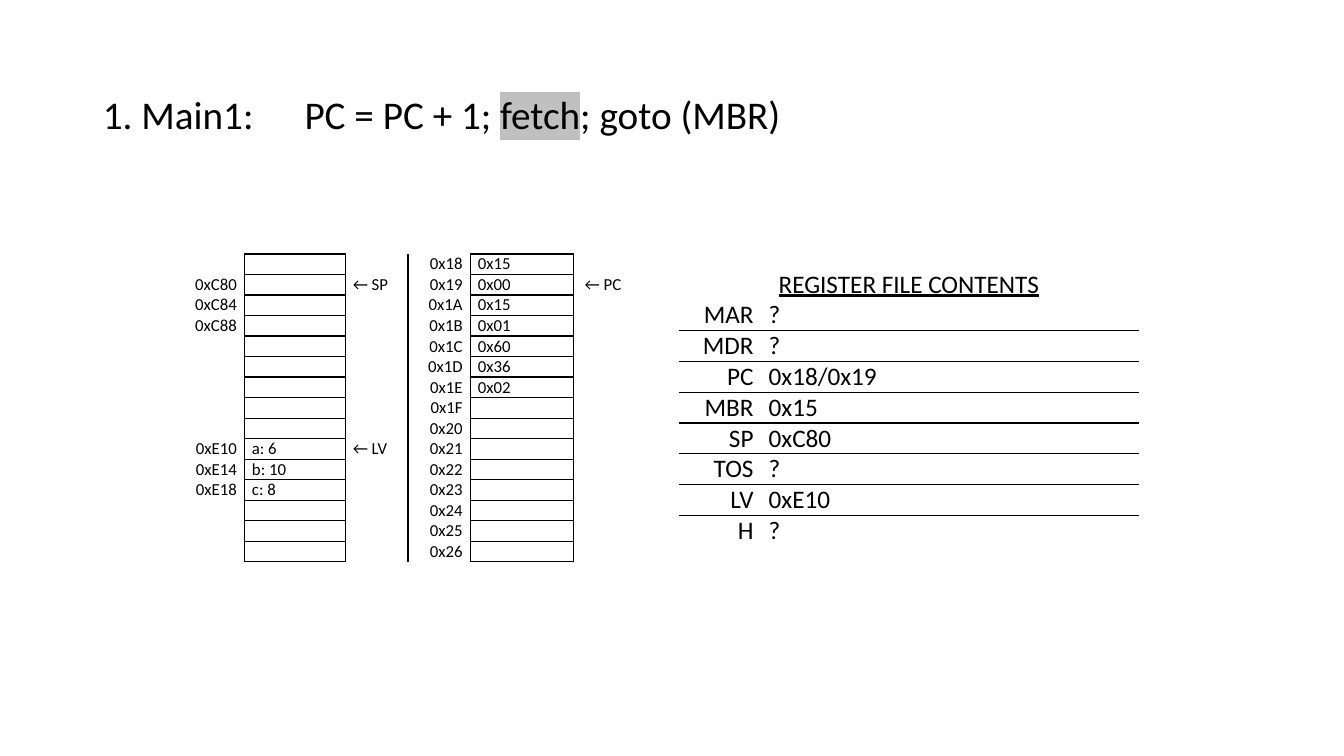
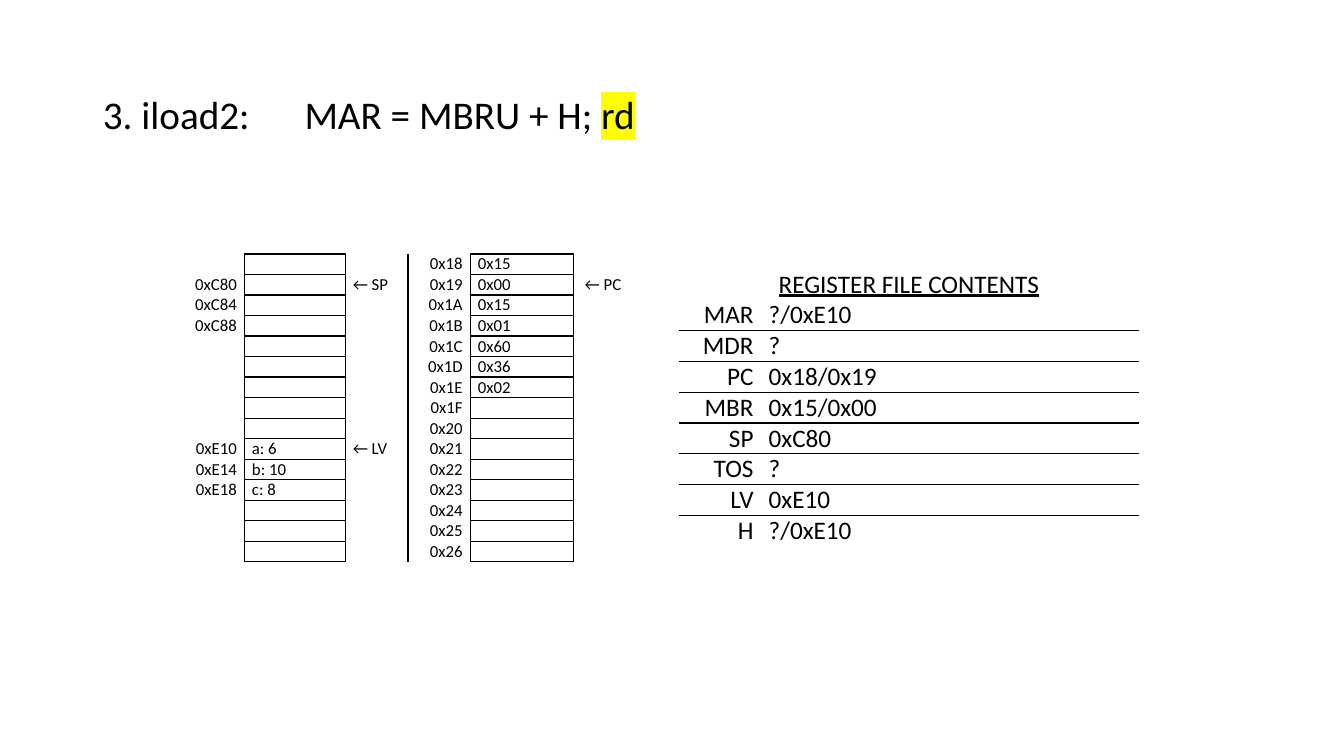
from lxml.etree import SubElement
from pptx import Presentation
from pptx.dml.color import RGBColor
from pptx.enum.text import MSO_ANCHOR, MSO_AUTO_SIZE, PP_ALIGN
from pptx.oxml.ns import qn
from pptx.util import Cm, Pt

BLACK = RGBColor(0x00, 0x00, 0x00)
GREY = RGBColor(0xC0, 0xC0, 0xC0)
YELLOW = RGBColor(0xFF, 0xFF, 0x00)
FONT = "Calibri"
NO_STYLE = "{2D5ABB26-0587-4C30-8999-92F81FD0307C}"
RIGHT = {"align": PP_ALIGN.RIGHT}
LEFT = {"align": PP_ALIGN.LEFT}

STACK_ADDRESSES = {1: "0xC80", 2: "0xC84", 3: "0xC88", 9: "0xE10", 10: "0xE14", 11: "0xE18"}
STACK_VALUES = {9: "a: 6", 10: "b: 10", 11: "c: 8"}
STACK_POINTERS = {1: "← SP", 9: "← LV"}
CODE_START = 0x18
CODE_BYTES = dict(enumerate(["0x15", "0x00", "0x15", "0x01", "0x60", "0x36", "0x02"]))
CODE_POINTERS = {1: " ← PC"}
MEMORY_ROWS = 15

REGISTERS = ["MAR", "MDR", "PC", "MBR", "SP", "TOS", "LV", "H"]
STEPS = [
    ([("1. Main1:\tPC = PC + 1; ", None), ("fetch", GREY), ("; goto (MBR)", None)],
     ["?", "?", "0x18/0x19", "0x15", "0xC80", "?", "0xE10", "?"]),
    ([("3. iload2:\tMAR = MBRU + H; ", None), ("rd", YELLOW)],
     ["?/0xE10", "?", "0x18/0x19", "0x15/0x00", "0xC80", "?", "0xE10", "?/0xE10"]),
]


def write(p, text, size=18, align=PP_ALIGN.LEFT, underline=False, highlight=None):
    """Add a formatted run to a paragraph; empty text only sets the line height."""
    p.alignment = align
    if not text:
        SubElement(p._p, qn("a:endParaRPr"), sz=str(size * 100))
        return
    r = p.add_run()
    r.text = text
    r.font.size = Pt(size)
    r.font.underline = underline
    r.font.color.rgb = BLACK
    if highlight is not None:
        mark = SubElement(r.font._element, qn("a:highlight"))
        SubElement(mark, qn("a:srgbClr"), val=str(highlight))
    r.font.name = FONT


def add_grid(s, left, top, widths, row_height, size, rows):
    """Add a plain table; each cell is (text, bordered sides out of LRTB, format)."""
    table = s.shapes.add_table(len(rows), len(widths), left, top,
                               sum(widths), row_height * len(rows)).table
    table.first_row = table.horz_banding = False
    table._tbl.tblPr.find(qn("a:tableStyleId")).text = NO_STYLE
    for column, width in zip(table.columns, widths):
        column.width = width
    for i, row in enumerate(rows):
        table.rows[i].height = row_height
        for j, (text, sides, fmt) in enumerate(row):
            cell = table.cell(i, j)
            cell.margin_left = cell.margin_right = Cm(0.19)
            cell.margin_top = cell.margin_bottom = 0
            for side in sides:
                ln = SubElement(cell._tc.get_or_add_tcPr(), qn(f"a:ln{side}"), w=str(Pt(1)))
                fill = SubElement(ln, qn("a:solidFill"))
                SubElement(fill, qn("a:srgbClr"), val=str(BLACK))
            cell.fill.background()
            write(cell.text_frame.paragraphs[0], text, size=size, **fmt)
    return table


prs = Presentation()
prs.slide_width, prs.slide_height = Cm(33.87), Cm(19.05)

memory = [
    [(STACK_ADDRESSES.get(i, ""), "", RIGHT),
     (STACK_VALUES.get(i, ""), "LRTB", LEFT),
     (STACK_POINTERS.get(i, ""), "L", LEFT),
     (f"0x{CODE_START + i:X}", "", RIGHT),
     (CODE_BYTES.get(i, ""), "LRTB", LEFT),
     (CODE_POINTERS.get(i, ""), "L", LEFT)]
    for i in range(MEMORY_ROWS)
]
memory_widths = [Cm(w) for w in (1.44, 2.54, 1.58, 1.57, 2.6, 2.6)]
register_widths = [Cm(2.08), Cm(9.53)]
register_header = [("REGISTER FILE CONTENTS", "", {"align": PP_ALIGN.CENTER, "underline": True}),
                   ("", "", LEFT)]

for instruction, values in STEPS:
    s = prs.slides.add_slide(prs.slide_layouts[5])

    title = s.shapes.title
    title.left, title.top, title.width, title.height = Cm(2.34), Cm(2.29), Cm(29.21), Cm(1.3)
    tf = title.text_frame
    tf.auto_size = MSO_AUTO_SIZE.NONE
    tf.vertical_anchor = MSO_ANCHOR.TOP
    p = tf.paragraphs[0]
    tabs = SubElement(p._p.get_or_add_pPr(), qn("a:tabLst"))
    SubElement(tabs, qn("a:tab"), pos=str(Cm(5.08)), algn="l")
    p.line_spacing = 0.9
    for text, highlight in instruction:
        write(p, text, size=28, highlight=highlight)

    add_grid(s, Cm(4.72), Cm(6.4), memory_widths, Cm(0.51), 12, memory)

    register_rows = [register_header]
    for i, (name, value) in enumerate(zip(REGISTERS, values)):
        sides = ("T" if i > 0 else "") + ("B" if i < len(REGISTERS) - 1 else "")
        register_rows.append([(name, sides, RIGHT), (value, sides, LEFT)])
    registers = add_grid(s, Cm(17.1), Cm(6.78), register_widths, Cm(0.76), 18, register_rows)
    registers.cell(0, 0).merge(registers.cell(0, 1))

prs.save("out.pptx")
